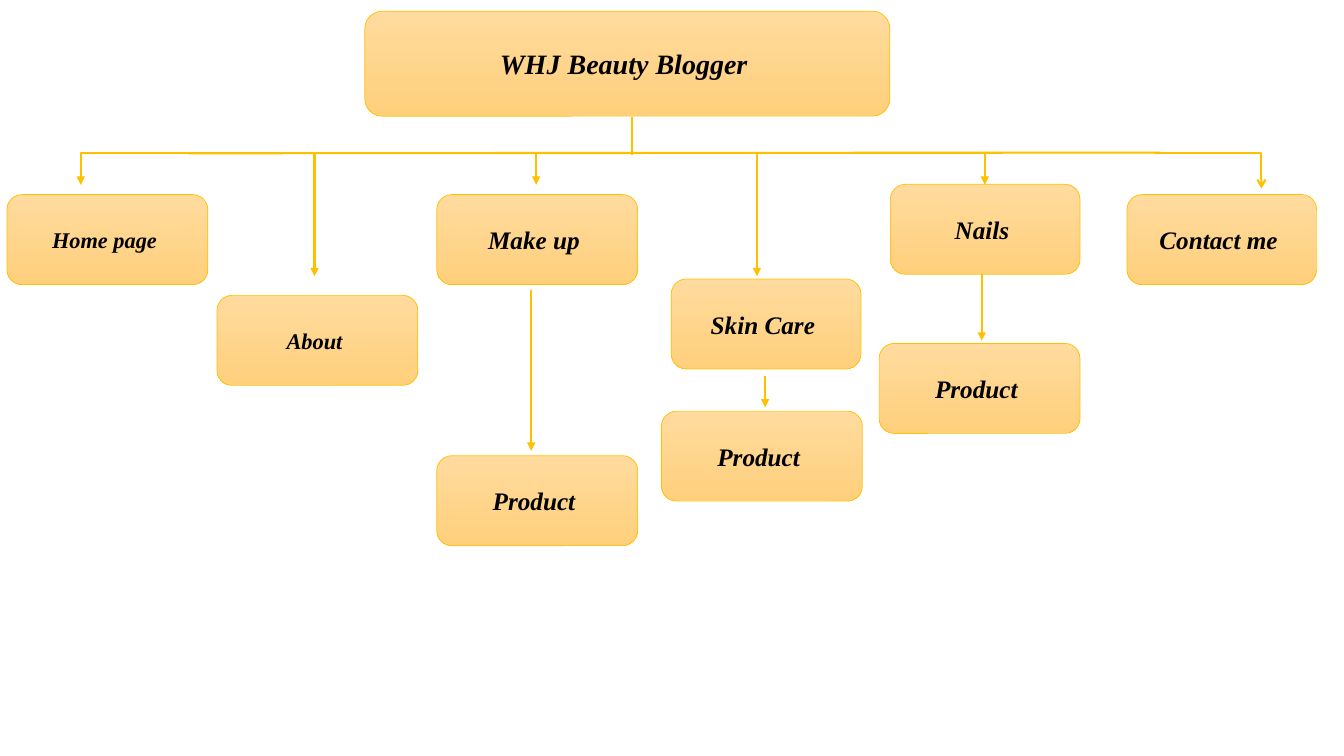
from dataclasses import dataclass
from pptx import Presentation
from pptx.dml.color import RGBColor
from pptx.enum.shapes import MSO_CONNECTOR, MSO_SHAPE
from pptx.enum.text import MSO_ANCHOR, PP_ALIGN
from pptx.oxml.ns import qn
from pptx.util import Pt
from lxml.etree import SubElement


@dataclass(frozen=True)
class Theme:
    top: RGBColor = RGBColor.from_string("FFDB9E")
    base: RGBColor = RGBColor.from_string("FFD07C")
    gold: RGBColor = RGBColor.from_string("FFC000")
    ink: RGBColor = RGBColor(0, 0, 0)
    font: str = "Times New Roman"
    head: int = 20
    node: int = 18
    small: int = 16
    edge: float = 0.5
    rule: float = 1.5


THEME = Theme()
WIDE, SLIM, HIGH = 143.5, 135.5, 64.3
BUS = 109.5

# Page boxes: text, left, top, width, type size
NODES = [
    ("Home page", 5, 139, WIDE, THEME.small),
    ("About", 155, 211, WIDE, THEME.small),
    ("Make up", 312, 139, WIDE, THEME.node),
    ("Skin Care", 479.5, 199.3, SLIM, THEME.node),
    ("Nails", 636, 131.7, SLIM, THEME.node),
    ("Contact me", 805, 139, SLIM, THEME.node),
    ("Product", 312, 325.5, WIDE, THEME.node),
    ("Product", 472.5, 293.7, WIDE, THEME.node),
    ("Product", 628, 245.3, WIDE, THEME.node),
]
# Vertical arrows: x, start, end
DROPS = [
    (224.7, BUS, 197.3), (383, BUS, 132), (540.7, BUS, 197.3),
    (703.5, BUS, 132), (379.5, 207.3, 322), (546.5, 268.5, 291),
    (701.3, 196, 243.3),
]


def add_box(slide, text, left, top, width, size, height=HIGH):
    box = slide.shapes.add_shape(
        MSO_SHAPE.ROUNDED_RECTANGLE, Pt(left), Pt(top), Pt(width), Pt(height))
    box.shadow.inherit = False
    box.fill.gradient()
    box.fill.gradient_angle = 270
    for stop, shade in zip(box.fill.gradient_stops, (THEME.top, THEME.base)):
        stop.color.rgb = shade
    box.line.color.rgb = THEME.gold
    box.line.width = Pt(THEME.edge)
    frame = box.text_frame
    frame.word_wrap = True
    frame.vertical_anchor = MSO_ANCHOR.MIDDLE
    frame.margin_right = Pt(7.2 + size / 4)
    para = frame.paragraphs[0]
    para.text = text
    para.alignment = PP_ALIGN.CENTER
    font = para.font
    font.name, font.size = THEME.font, Pt(size)
    font.bold = font.italic = True
    font.color.rgb = THEME.ink


def add_line(slide, x1, y1, x2, y2, tip=None, kind=MSO_CONNECTOR.STRAIGHT):
    line = slide.shapes.add_connector(kind, Pt(x1), Pt(y1), Pt(x2), Pt(y2))
    line.line.color.rgb = THEME.gold
    line.line.width = Pt(THEME.rule)
    props = line.element.spPr
    if tip:
        SubElement(props.find(qn("a:ln")), qn("a:tailEnd"), type=tip)
    SubElement(props, qn("a:effectLst"))
    return line


def add_elbow(slide, x1, y1, x2, y2, tip):
    line = add_line(slide, x1, y1, x2, y2, tip, MSO_CONNECTOR.ELBOW)
    # Turn the corner at the far end
    geom = line.element.spPr.find(qn("a:prstGeom"))
    bends = geom.find(qn("a:avLst"))
    if bends is None:
        bends = SubElement(geom, qn("a:avLst"))
    SubElement(bends, qn("a:gd"), name="adj1", fmla="val 100000")


def main():
    deck = Presentation()
    deck.slide_width, deck.slide_height = Pt(960), Pt(540)
    slide = deck.slides.add_slide(deck.slide_layouts[6])

    # Root and page boxes
    add_box(slide, "WHJ Beauty Blogger", 260.6, 8, 375, THEME.head, 75)
    for node in NODES:
        add_box(slide, *node)

    # Stem and bus
    add_line(slide, 451.5, 83.5, 451.5, 111)
    add_line(slide, 134, BUS, 829, 109)

    # Arrows to the outer and inner pages
    add_elbow(slide, 137.5, BUS, 57.7, 132, "triangle")
    add_elbow(slide, 824.5, 109, 901, 134.7, "arrow")
    for x, start, end in DROPS:
        add_line(slide, x, start, x, end, "triangle")

    deck.save("out.pptx")


main()
